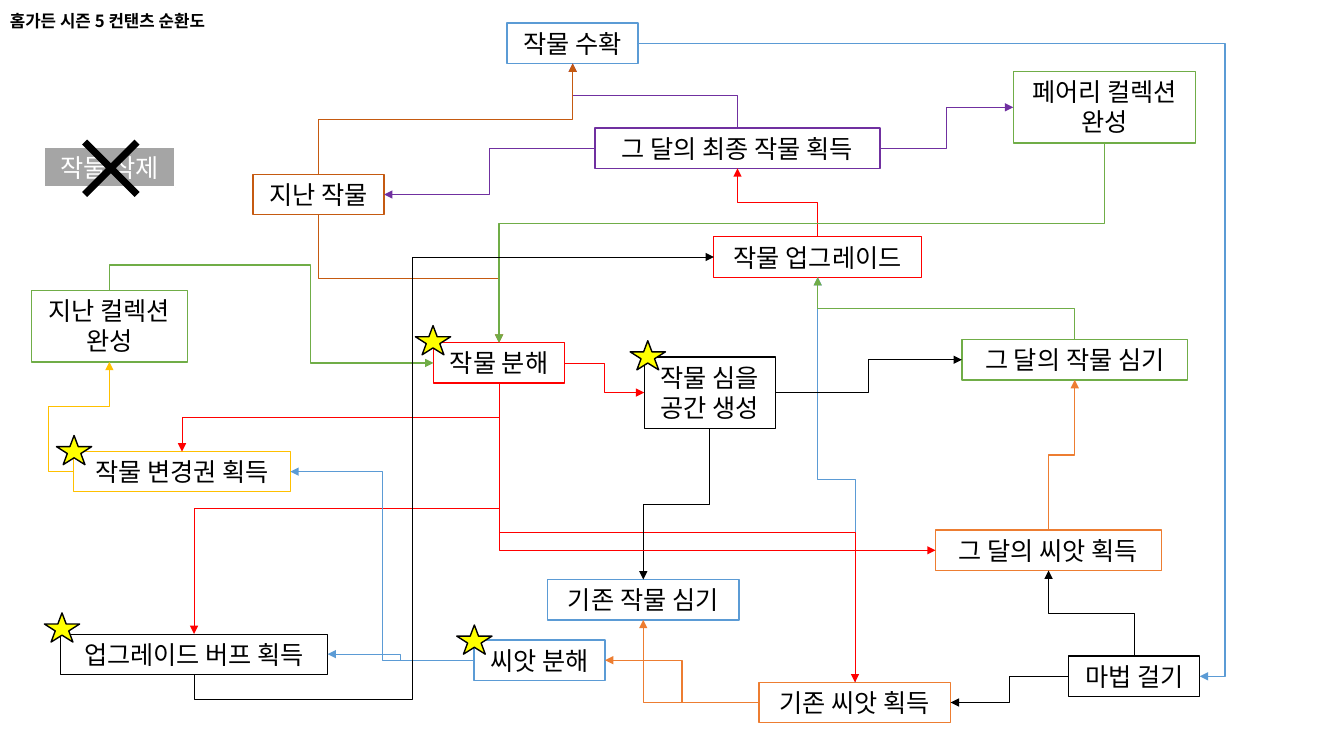
"""Build the home garden season 5 content cycle slide."""
from dataclasses import dataclass
from enum import IntEnum

from lxml.etree import SubElement
from pptx import Presentation
from pptx.dml.color import RGBColor
from pptx.enum.shapes import MSO_CONNECTOR, MSO_SHAPE
from pptx.enum.text import MSO_ANCHOR, MSO_AUTO_SIZE, PP_ALIGN
from pptx.oxml.ns import qn
from pptx.shapes.autoshape import Shape
from pptx.slide import Slide
from pptx.text.text import TextFrame
from pptx.util import Inches, Pt


@dataclass(frozen=True)
class Theme:
    """Colours, font and type sizes of the slide."""
    font: str = "Noto Sans CJK KR"
    title_size: int = 12
    box_size: int = 18
    black: str = "000000"
    white: str = "FFFFFF"
    gray: str = "A5A5A5"
    blue: str = "5B9BD5"
    green: str = "70AD47"
    gold: str = "FFC000"
    purple: str = "7030A0"
    red: str = "FF0000"
    orange: str = "ED7D31"
    brown: str = "C55A11"
    yellow: str = "FFFF00"


class Side(IntEnum):
    """Connection sites of a rectangle."""
    TOP = 0
    LEFT = 1
    BOTTOM = 2
    RIGHT = 3


@dataclass(frozen=True)
class Box:
    """A labelled step of the cycle."""
    name: str
    label: str
    left: float
    top: float
    width: float
    outline: str
    weight: float = 1
    height: float = 0.4
    fill: str = Theme.white
    ink: str = Theme.black


@dataclass(frozen=True)
class Link:
    """An elbow arrow, with its bends in slide inches."""
    start: str
    start_side: Side
    end: str
    end_side: Side
    colour: str
    weight: float = 0.5
    bends: tuple[float, ...] = ()


THEME = Theme()
TOP, LEFT, BOTTOM, RIGHT = Side
BOXES = [
    Box("magic", "마법 걸기", 10.6, 6.51, 1.3, THEME.black),
    Box("seed_split", "씨앗 분해", 4.7, 6.35, 1.3, THEME.blue),
    Box("fairy", "페어리 컬렉션\n완성", 10.05, 0.71, 1.81, THEME.green, height=0.71),
    Box("ticket", "작물 변경권 획득", 0.73, 4.48, 2.15, THEME.gold, 0.5),
    Box("month_planting", "그 달의 작물 심기", 9.54, 3.37, 2.24, THEME.green),
    Box("past_collection", "지난 컬렉션\n완성", 0.31, 2.88, 1.55, THEME.green, height=0.71),
    Box("space", "작물 심을\n공간 생성", 6.39, 3.54, 1.3, THEME.black, height=0.71),
    Box("final_crop", "그 달의 최종 작물 획득", 5.9, 1.27, 2.83, THEME.purple),
    Box("crop_split", "작물 분해", 4.3, 3.4, 1.3, THEME.red),
    Box("old_seed", "기존 씨앗 획득", 7.53, 6.77, 1.9, THEME.orange),
    Box("month_seed", "그 달의 씨앗 획득", 9.28, 5.26, 2.24, THEME.orange),
    Box("past_crop", "지난 작물", 2.51, 1.73, 1.3, THEME.brown),
    Box("harvest", "작물 수확", 5.03, 0.23, 1.3, THEME.blue),
    Box("buff", "업그레이드 버프 획득", 0.6, 6.29, 2.65, THEME.black, 0.5),
    Box("upgrade", "작물 업그레이드", 7.08, 2.35, 2.06, THEME.red, 0.5),
    Box("old_planting", "기존 작물 심기", 5.43, 5.75, 1.9, THEME.blue),
    Box("deletion", "작물 삭제", 0.44, 1.46, 1.3, THEME.white, 1.5,
        fill=THEME.gray, ink=THEME.white),
]
LINKS = [
    Link("harvest", RIGHT, "magic", RIGHT, THEME.blue, 1, (12.15,)),
    Link("final_crop", TOP, "harvest", BOTTOM, THEME.purple),
    Link("past_crop", TOP, "harvest", BOTTOM, THEME.brown),
    Link("final_crop", LEFT, "past_crop", RIGHT, THEME.purple),
    Link("past_crop", BOTTOM, "crop_split", TOP, THEME.brown),
    Link("crop_split", RIGHT, "space", LEFT, THEME.red),
    Link("crop_split", BOTTOM, "ticket", TOP, THEME.red),
    Link("crop_split", BOTTOM, "buff", TOP, THEME.red),
    Link("month_seed", TOP, "month_planting", BOTTOM, THEME.orange, 1),
    Link("magic", TOP, "month_seed", BOTTOM, THEME.black, 1),
    Link("old_seed", TOP, "upgrade", BOTTOM, THEME.blue),
    Link("month_planting", TOP, "upgrade", BOTTOM, THEME.green, 1),
    Link("old_seed", LEFT, "seed_split", RIGHT, THEME.orange, 1),
    Link("seed_split", LEFT, "buff", RIGHT, THEME.blue),
    Link("seed_split", LEFT, "ticket", RIGHT, THEME.blue),
    Link("ticket", LEFT, "past_collection", BOTTOM, THEME.gold, bends=(0.48, 4.03)),
    Link("final_crop", RIGHT, "fairy", LEFT, THEME.purple),
    Link("space", RIGHT, "month_planting", LEFT, THEME.black),
    Link("upgrade", TOP, "final_crop", BOTTOM, THEME.red),
    Link("crop_split", BOTTOM, "old_seed", TOP, THEME.red),
    Link("magic", LEFT, "old_seed", RIGHT, THEME.black, 1),
    Link("old_seed", LEFT, "old_planting", BOTTOM, THEME.orange, 1),
    Link("space", BOTTOM, "old_planting", TOP, THEME.black),
    Link("past_collection", TOP, "crop_split", LEFT, THEME.green, 1, (2.63, 3.08)),
    Link("fairy", BOTTOM, "crop_split", TOP, THEME.green, 1, (2.22,)),
    Link("buff", BOTTOM, "upgrade", LEFT, THEME.black, bends=(6.94, 4.09)),
    Link("crop_split", BOTTOM, "month_seed", LEFT, THEME.red),
]
STARS = [(6.25, 3.38), (4.12, 3.23), (4.53, 6.2), (0.44, 6.08), (0.56, 4.32)]


def format_text(text_frame: TextFrame, size: int, colour: str,
                alignment: PP_ALIGN, bold: bool = False) -> None:
    """Apply the slide font to every run of a text frame."""
    for paragraph in text_frame.paragraphs:
        paragraph.alignment = alignment
        for run in paragraph.runs:
            run.font.name = THEME.font
            run.font.size = Pt(size)
            run.font.bold = bold
            run.font.color.rgb = RGBColor.from_string(colour)
            SubElement(run.font._element, qn("a:ea"), typeface=THEME.font)


def draw_title(slide: Slide) -> None:
    """Write the heading across the top of the slide."""
    title = slide.shapes.add_textbox(0, 0, Inches(13.33), Inches(0.43))
    title.text_frame.word_wrap = True
    title.text_frame.vertical_anchor = MSO_ANCHOR.MIDDLE
    title.text_frame.text = "홈가든 시즌 5 컨탠츠 순환도"
    title.text_frame.paragraphs[0].line_spacing = 0.9
    format_text(title.text_frame, THEME.title_size, THEME.black, PP_ALIGN.LEFT, True)


def draw_shape(slide: Slide, kind: MSO_SHAPE, left: float, top: float, width: float,
               height: float, fill: str, outline: str, weight: float) -> Shape:
    """Add a filled preset shape; a zero weight means no outline."""
    shape = slide.shapes.add_shape(
        kind, Inches(left), Inches(top), Inches(width), Inches(height))
    shape.shadow.inherit = False
    shape.fill.solid()
    shape.fill.fore_color.rgb = RGBColor.from_string(fill)
    if weight:
        shape.line.color.rgb = RGBColor.from_string(outline)
        shape.line.width = Pt(weight)
    else:
        shape.line.fill.background()
    return shape


def draw_box(slide: Slide, box: Box) -> Shape:
    """Add one labelled step."""
    shape = draw_shape(slide, MSO_SHAPE.RECTANGLE, box.left, box.top, box.width,
                       box.height, box.fill, box.outline, box.weight)
    text_frame = shape.text_frame
    text_frame.text = box.label
    text_frame.word_wrap = False
    text_frame.auto_size = MSO_AUTO_SIZE.SHAPE_TO_FIT_TEXT
    text_frame.vertical_anchor = MSO_ANCHOR.TOP
    format_text(text_frame, THEME.box_size, box.ink, PP_ALIGN.CENTER)
    return shape


def draw_link(slide: Slide, link: Link, shapes: dict[str, Shape]) -> None:
    """Glue an elbow arrow between two steps and route it through its bends."""
    connector = slide.shapes.add_connector(MSO_CONNECTOR.ELBOW, 0, 0, 0, 0)
    connector.begin_connect(shapes[link.start], link.start_side)
    connector.end_connect(shapes[link.end], link.end_side)
    begin = (connector.begin_x, connector.begin_y)
    end = (connector.end_x, connector.end_y)
    vertical = link.start_side in (TOP, BOTTOM)
    turns = vertical != (link.end_side in (TOP, BOTTOM))
    properties = connector._element.spPr
    if vertical:
        run, rise = end[0] - begin[0], end[1] - begin[1]
        connector.left = (begin[0] + end[0] - abs(rise)) // 2
        connector.top = (begin[1] + end[1] - abs(run)) // 2
        connector.width, connector.height = abs(rise), abs(run)
        properties.xfrm.rot = 90 if rise > 0 else 270
        properties.xfrm.flipH = False
        properties.xfrm.flipV = (run > 0) == (rise > 0)
    geometry = properties.find(qn("a:prstGeom"))
    segments = 2 + len(link.bends) if turns else 3
    geometry.set("prst", f"bentConnector{segments}")
    for index, bend in enumerate(link.bends):
        axis = (index + vertical) % 2
        share = (Inches(bend) - begin[axis]) / (end[axis] - begin[axis])
        SubElement(geometry.find(qn("a:avLst")), qn("a:gd"),
                   name=f"adj{index + 1}", fmla=f"val {round(share * 100000)}")
    connector.line.color.rgb = RGBColor.from_string(link.colour)
    connector.line.width = Pt(link.weight)
    SubElement(properties.find(qn("a:ln")), qn("a:tailEnd"), type="triangle")
    SubElement(properties, qn("a:effectLst"))


def main() -> None:
    """Build and save the presentation."""
    presentation = Presentation()
    presentation.slide_width, presentation.slide_height = Inches(13.33), Inches(7.5)
    slide = presentation.slides.add_slide(presentation.slide_layouts[6])
    draw_title(slide)
    shapes = {box.name: draw_box(slide, box) for box in BOXES}
    for link in LINKS:
        draw_link(slide, link, shapes)
    cross = draw_shape(slide, MSO_SHAPE.MATH_MULTIPLY, 0.6, 1.17, 1, 1,
                       THEME.black, THEME.black, 0)
    cross.adjustments[0] = 0.07
    for left, top in STARS:
        draw_shape(slide, MSO_SHAPE.STAR_5_POINT, left, top, 0.35, 0.29,
                   THEME.yellow, THEME.black, 1)
    presentation.save("out.pptx")


if __name__ == "__main__":
    main()
